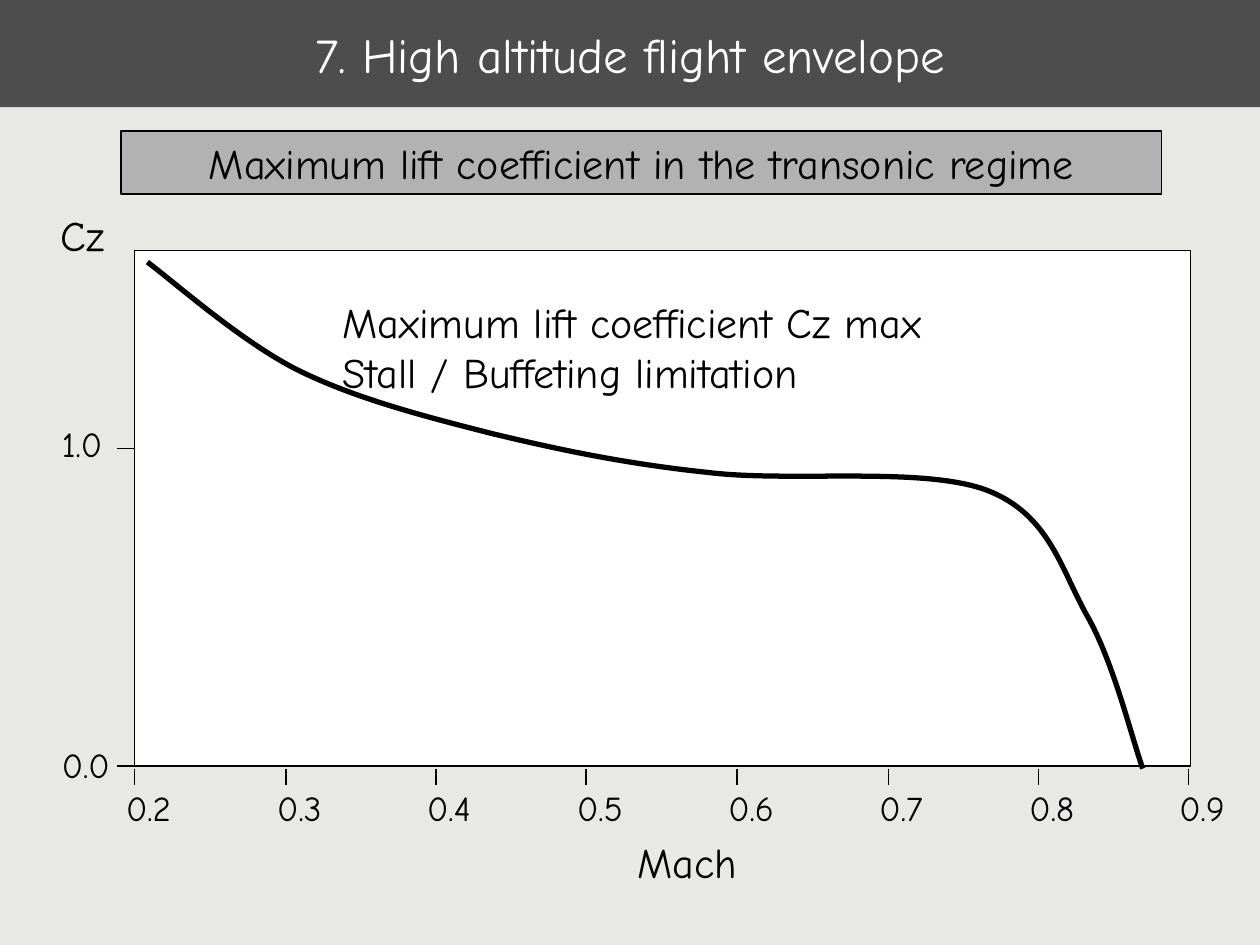
from typing import NamedTuple

import pptx
import pptx.dml.color
import pptx.enum.shapes
import pptx.enum.text
import pptx.oxml.ns
import pptx.util
from lxml import etree

EMU_PER_PX = 9144
FONT = "Comic Neue"
COLORS = {
    "background": "E8E8E4",
    "title": "4D4D4D",
    "banner": "B2B2B2",
    "plot": "FFFFFF",
    "ink": "000000",
    "light": "FFFFFF",
}


class Box(NamedTuple):
    x: int
    y: int
    w: int
    h: int


class Label(NamedTuple):
    lines: tuple[str, ...]
    box: Box
    size: int


class Tick(NamedTuple):
    x1: int
    y1: int
    x2: int
    y2: int


PLOT = Box(107, 199, 838, 409)
MACH_STEP = 119.5
MACH_COUNT = 8
CURVE_START = (117, 208)
CURVE_CONTROLS = [
    (136, 222), (190, 270), (235, 293),
    (281, 316), (335, 330), (390, 344),
    (444, 357), (496, 368), (562, 375),
    (627, 383), (732, 370), (783, 389),
    (833, 408), (842, 452), (863, 489),
    (884, 526), (898, 585), (907, 610),
]
TICKS = [Tick(108, 608, 93, 608), Tick(107, 356, 93, 356)]
LABELS = [
    Label(("0.0",), Box(49, 590, 42, 33), 20),
    Label(("1.0",), Box(49, 335, 42, 33), 20),
    Label(("Mach",), Box(506, 664, 90, 40), 24),
    Label(("Cz",), Box(48, 166, 42, 40), 24),
    Label(
        ("Maximum lift coefficient Cz max", "Stall / Buffeting limitation"),
        Box(272, 235, 550, 80), 24,
    ),
]
for i in range(MACH_COUNT):
    offset = round(i * MACH_STEP)
    TICKS.append(Tick(PLOT.x + offset, 610, PLOT.x + offset, 623))
    LABELS.append(Label((f"0.{i + 2}",), Box(100 + offset, 624, 42, 33), 20))


def px(n: int) -> pptx.util.Emu:
    return pptx.util.Emu(n * EMU_PER_PX)


def rgb(name: str) -> pptx.dml.color.RGBColor:
    return pptx.dml.color.RGBColor.from_string(COLORS[name])


def set_fill(sp, color: str) -> None:
    sp.fill.solid()
    sp.fill.fore_color.rgb = rgb(color)


def set_line(sp, width: float) -> None:
    sp.line.color.rgb = rgb("ink")
    sp.line.width = pptx.util.Pt(width)


def add_run(p, text: str, size: int, color: str = "ink") -> None:
    r = p.add_run()
    r.text = text
    r.font.name = FONT
    r.font.size = pptx.util.Pt(size)
    r.font.color.rgb = rgb(color)


def add_rect(s, box: Box, fill: str, width: float):
    sp = s.shapes.add_shape(
        pptx.enum.shapes.MSO_SHAPE.RECTANGLE, *map(px, box))
    sp.shadow.inherit = False
    set_fill(sp, fill)
    set_line(sp, width)
    return sp


def add_label(s, label: Label) -> None:
    tf = s.shapes.add_textbox(*map(px, label.box)).text_frame
    tf.margin_left = tf.margin_right = tf.margin_top = tf.margin_bottom = 0
    tf.word_wrap = True
    tf.auto_size = pptx.enum.text.MSO_AUTO_SIZE.SHAPE_TO_FIT_TEXT
    for i, line in enumerate(label.lines):
        p = tf.add_paragraph() if i else tf.paragraphs[0]
        add_run(p, line, label.size)


def add_tick(s, tick: Tick) -> None:
    sp = s.shapes.add_connector(
        pptx.enum.shapes.MSO_CONNECTOR.STRAIGHT, *map(px, tick))
    set_line(sp, 0.75)
    etree.SubElement(
        sp._element.spPr, pptx.oxml.ns.qn("a:effectLst"))


def add_curve(s) -> None:
    builder = s.shapes.build_freeform(*CURVE_START, scale=EMU_PER_PX)
    builder.add_line_segments(CURVE_CONTROLS, close=False)
    sp = builder.convert_to_shape()
    sp.shadow.inherit = False
    sp.fill.background()
    set_line(sp, 3)
    qn = pptx.oxml.ns.qn
    segments = list(sp._element.iter(qn("a:lnTo")))
    for i in range(0, len(segments), 3):
        bezier = etree.SubElement(
            segments[i].getparent(), qn("a:cubicBezTo"))
        for segment in segments[i:i + 3]:
            bezier.append(segment[0])
            segment.getparent().remove(segment)


def add_title(s) -> None:
    sp = s.shapes.title
    sp.left, sp.top, sp.width, sp.height = map(px, Box(0, 0, 1000, 85))
    set_fill(sp, "title")
    tf = sp.text_frame
    tf.auto_size = pptx.enum.text.MSO_AUTO_SIZE.NONE
    tf.vertical_anchor = pptx.enum.text.MSO_ANCHOR.MIDDLE
    p = tf.paragraphs[0]
    p.alignment = pptx.enum.text.PP_ALIGN.CENTER
    add_run(p, "7. High altitude flight envelope", 28, "light")


def add_banner(s) -> None:
    tf = add_rect(s, Box(96, 104, 826, 50), "banner", 1).text_frame
    tf.word_wrap = True
    tf.vertical_anchor = pptx.enum.text.MSO_ANCHOR.TOP
    p = tf.paragraphs[0]
    p.alignment = pptx.enum.text.PP_ALIGN.CENTER
    add_run(p, "Maximum lift coefficient in the transonic regime", 24)


def main() -> None:
    prs = pptx.Presentation()
    prs.slide_width, prs.slide_height = px(1000), px(750)
    s = prs.slides.add_slide(prs.slide_layouts.get_by_name("Title Only"))
    set_fill(s.background, "background")
    add_title(s)
    add_rect(s, PLOT, "plot", 0.75)
    for tick in TICKS:
        add_tick(s, tick)
    add_curve(s)
    for label in LABELS:
        add_label(s, label)
    add_banner(s)
    prs.save("out.pptx")


if __name__ == "__main__":
    main()
